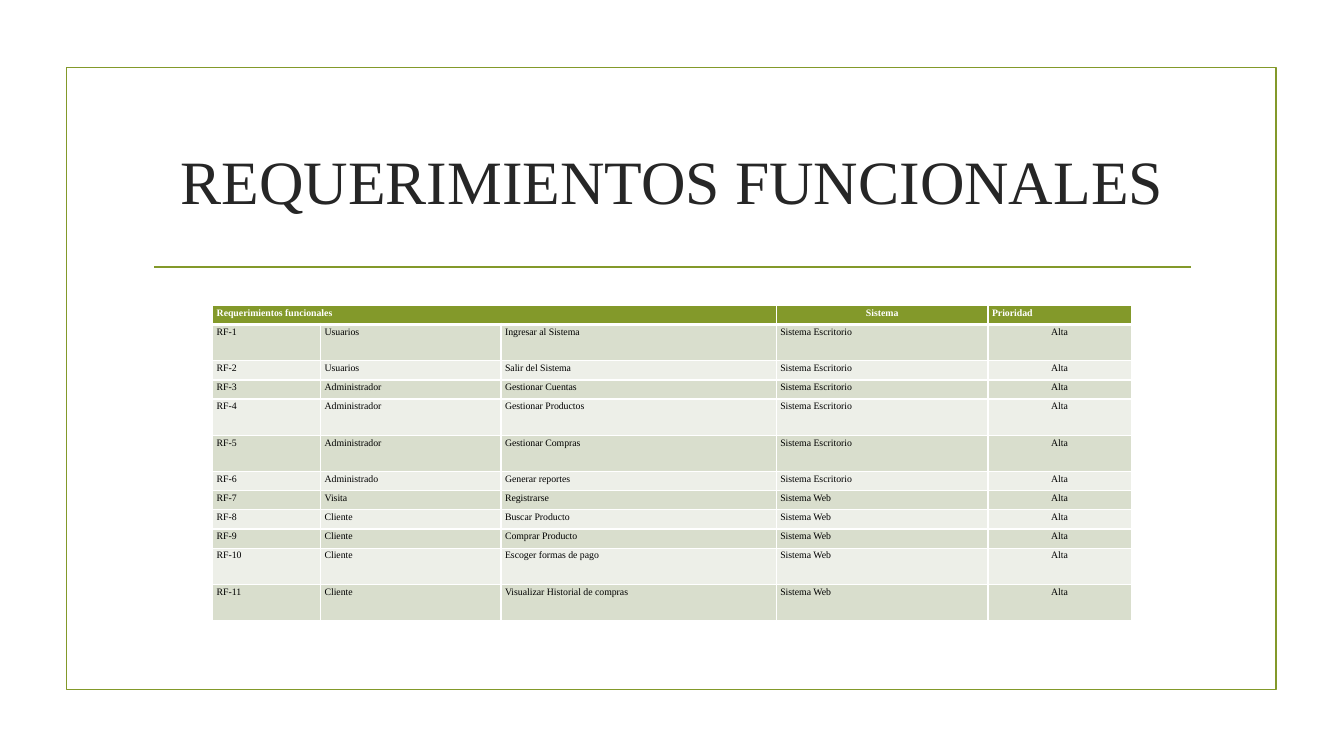
from lxml import etree
from pptx import Presentation
from pptx.dml.color import RGBColor
from pptx.enum.shapes import MSO_CONNECTOR, MSO_SHAPE
from pptx.enum.text import MSO_ANCHOR, PP_ALIGN
from pptx.oxml.ns import qn
from pptx.util import Inches, Pt

LEFT, CENTER = PP_ALIGN.LEFT, PP_ALIGN.CENTER
MIDDLE = MSO_ANCHOR.MIDDLE
RECTANGLE = MSO_SHAPE.RECTANGLE
STRAIGHT = MSO_CONNECTOR.STRAIGHT

TITLE = "REQUERIMIENTOS FUNCIONALES"
HEADER = ("Requerimientos funcionales", "", "", "Sistema", "Prioridad")
HEADER_ALIGN = (LEFT, LEFT, LEFT, CENTER, LEFT)
BODY_ALIGN = (LEFT, LEFT, LEFT, LEFT, CENTER)
DESKTOP, WEB = "Sistema Escritorio", "Sistema Web"
PRIORITY = "Alta"
REQUIREMENTS = [
    ("Usuarios", "Ingresar al Sistema", DESKTOP),
    ("Usuarios", "Salir del Sistema", DESKTOP),
    ("Administrador", "Gestionar Cuentas", DESKTOP),
    ("Administrador", "Gestionar Productos", DESKTOP),
    ("Administrador", "Gestionar Compras", DESKTOP),
    ("Administrado", "Generar reportes", DESKTOP),
    ("Visita", "Registrarse", WEB),
    ("Cliente", "Buscar Producto", WEB),
    ("Cliente", "Comprar Producto", WEB),
    ("Cliente", "Escoger formas de pago", WEB),
    ("Cliente", "Visualizar Historial de compras", WEB),
]
TALL_ROWS = {1, 4, 5, 10, 11}
ROW_HEIGHT, TALL_HEIGHT = 0.19, 0.36
COLUMN_WIDTHS = (1.07, 1.79, 2.73, 2.1, 1.42)

COLORS = {
    "olive": "83992A",
    "title": "262626",
    "black": "000000",
    "white": "FFFFFF",
    "odd": "D9DECD",
    "even": "EDEFE8",
}
FONT = "Times New Roman"


def rgb(name):
    return RGBColor.from_string(COLORS[name])


def write(frame, text, size, color, align=LEFT, bold=False):
    paragraph = frame.paragraphs[0]
    paragraph.alignment = align
    run = paragraph.add_run()
    run.text = text
    run.font.name = FONT
    run.font.size = Pt(size)
    run.font.bold = bold
    run.font.color.rgb = rgb(color)


def add_borders(cell, **widths):
    """Draw white cell borders; widths maps L, R, T and B to points."""
    properties = cell._tc.get_or_add_tcPr()
    for side, width in widths.items():
        line = etree.SubElement(properties, qn(f"a:ln{side}"), w=str(Pt(width)))
        fill = etree.SubElement(line, qn("a:solidFill"))
        etree.SubElement(fill, qn("a:srgbClr"), val=COLORS["white"])


def add_frame(slide):
    frame = slide.shapes.add_shape(
        RECTANGLE, Inches(0.66), Inches(0.67), Inches(12), Inches(6.17))
    frame.shadow.inherit = False
    frame.fill.background()
    rule = slide.shapes.add_connector(
        STRAIGHT, Inches(1.53), Inches(2.65), Inches(11.81), Inches(2.65))
    etree.SubElement(rule._element.spPr, qn("a:effectLst"))
    for outline in (frame.line, rule.line):
        outline.color.rgb = rgb("olive")
        outline.width = Pt(1.25)


def add_title(slide):
    title = slide.shapes.add_textbox(
        Inches(1.42), Inches(1.07), Inches(10.5), Inches(1.43)).text_frame
    title.word_wrap = True
    title.vertical_anchor = MIDDLE
    write(title, TITLE, 44, "title", align=CENTER)


def add_requirements(slide):
    rows = [HEADER] + [(f"RF-{number}", *requirement, PRIORITY)
                       for number, requirement in enumerate(REQUIREMENTS, 1)]
    heights = [TALL_HEIGHT if r in TALL_ROWS else ROW_HEIGHT
               for r in range(len(rows))]
    table = slide.shapes.add_table(
        len(rows), len(COLUMN_WIDTHS), Inches(2.11), Inches(3.03),
        Inches(sum(COLUMN_WIDTHS)), Inches(sum(heights))).table
    for column, width in zip(table.columns, COLUMN_WIDTHS):
        column.width = Inches(width)
    for r, values in enumerate(rows):
        table.rows[r].height = Inches(heights[r])
        is_header = r == 0
        fill = "olive" if is_header else "odd" if r % 2 else "even"
        aligns = HEADER_ALIGN if is_header else BODY_ALIGN
        for c, text in enumerate(values):
            cell = table.cell(r, c)
            cell.margin_left = cell.margin_right = Inches(0.04)
            cell.margin_top = cell.margin_bottom = Inches(0.02)
            add_borders(cell, L=1, R=1, T=3 if r == 1 else 1,
                        B=3 if is_header else 1)
            cell.fill.solid()
            cell.fill.fore_color.rgb = rgb(fill)
            write(cell.text_frame, text, 7, "white" if is_header else "black",
                  align=aligns[c], bold=is_header)
    table.cell(0, 0).merge(table.cell(0, 2))


def main():
    deck = Presentation()
    deck.slide_width, deck.slide_height = Inches(13.33), Inches(7.5)
    slide = deck.slides.add_slide(deck.slide_layouts[6])
    add_frame(slide)
    add_title(slide)
    add_requirements(slide)
    deck.save("out.pptx")


if __name__ == "__main__":
    main()
